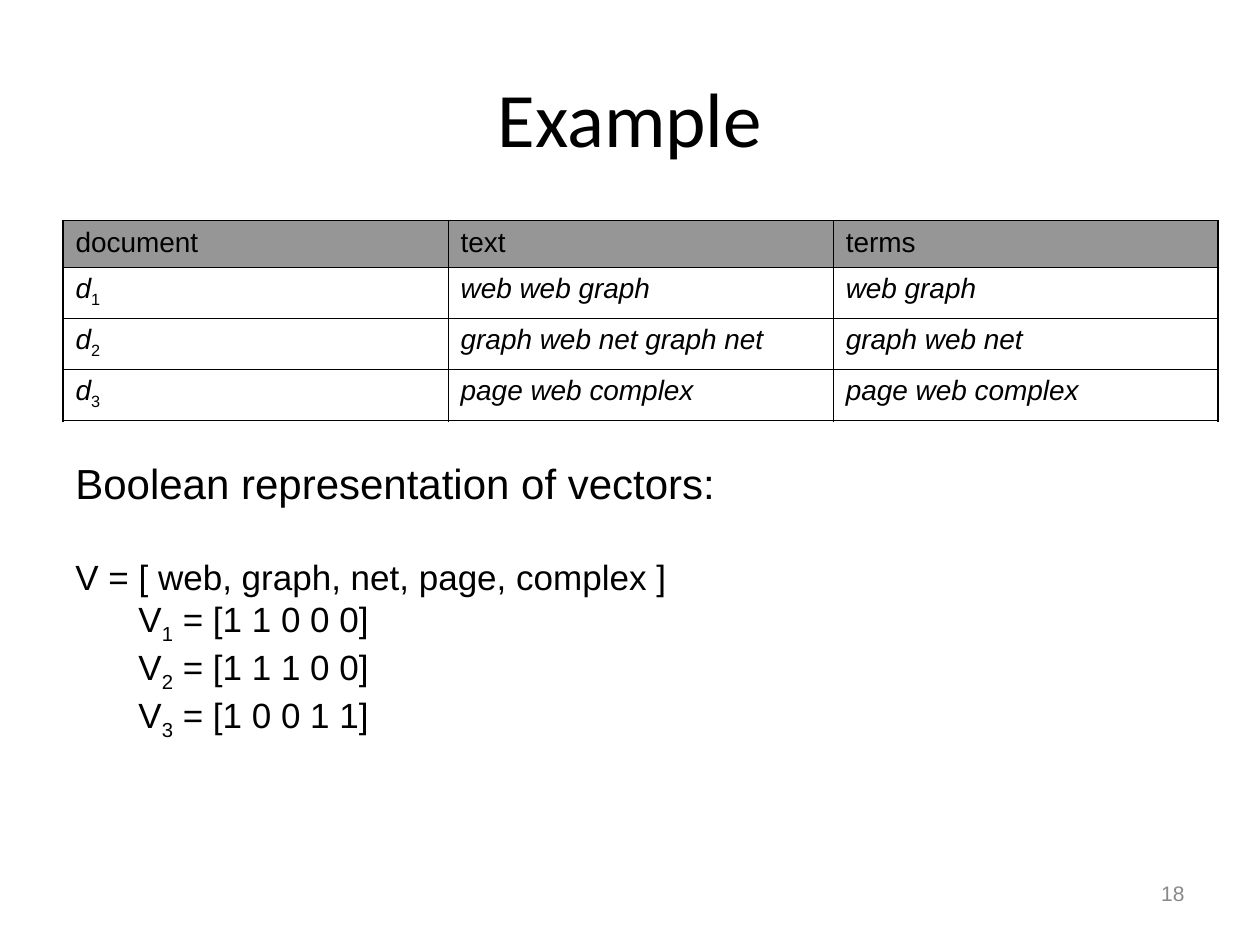
from dataclasses import dataclass

from lxml import etree
from pptx import Presentation
from pptx.dml.color import RGBColor
from pptx.enum.text import MSO_ANCHOR, MSO_AUTO_SIZE, PP_ALIGN
from pptx.oxml.ns import qn
from pptx.util import Inches, Pt

BLACK = RGBColor(0x00, 0x00, 0x00)
HEADER_GRAY = RGBColor(0x96, 0x96, 0x96)
NUMBER_GRAY = RGBColor(0x89, 0x89, 0x89)
MIDDLE = MSO_ANCHOR.MIDDLE
FIT_SHAPE = MSO_AUTO_SIZE.SHAPE_TO_FIT_TEXT
CENTER, RIGHT = PP_ALIGN.CENTER, PP_ALIGN.RIGHT

PAGE_WIDTH, PAGE_HEIGHT = 10, 7.5
MARGIN = 0.05 * PAGE_WIDTH
OUTER_LINE, INNER_LINE = Pt(1.08), Pt(0.45)


@dataclass(frozen=True)
class Document:
    number: str
    text: str
    terms: str
    vector: str


HEADINGS = ("document", "text", "terms")
DOCUMENTS = (
    Document("1", "web web graph", "web graph", "[1 1 0 0 0]"),
    Document("2", "graph web net graph net", "graph web net", "[1 1 1 0 0]"),
    Document("3", "page web complex", "page web complex", "[1 0 0 1 1]"),
)


def write(para, text: str, *, size: float, font: str = "Arial",
          color: RGBColor = BLACK, italic: bool = False,
          subscript: bool = False) -> None:
    """Append one formatted span to a paragraph."""
    span = para.add_run()
    span.text = text
    span.font.name = font
    span.font.size = Pt(size)
    span.font.color.rgb = color
    span.font.italic = italic
    if subscript:
        span._r.get_or_add_rPr().set("baseline", "-25000")


def draw_borders(cell, row: int, column: int, rows: int, columns: int) -> None:
    """Thick lines around the table, thin lines inside."""
    outer_sides = {"lnL": column == 0, "lnR": column == columns - 1,
                   "lnT": row == 0, "lnB": row == rows - 1}
    properties = cell._tc.get_or_add_tcPr()
    for side, is_outer in outer_sides.items():
        line = etree.SubElement(properties, qn(f"a:{side}"))
        line.set("w", str(int(OUTER_LINE if is_outer else INNER_LINE)))
        fill = etree.SubElement(line, qn("a:solidFill"))
        etree.SubElement(fill, qn("a:srgbClr")).set("val", str(BLACK))


def add_document_table(page, left: float, top: float, width: float,
                       height: float, header_height: float) -> None:
    rows, columns = len(DOCUMENTS) + 1, len(HEADINGS)
    row_height = (height - header_height) / len(DOCUMENTS)
    table = page.shapes.add_table(rows, columns, Inches(left), Inches(top),
                                  Inches(width), Inches(height)).table
    table.first_row = table.horz_banding = False
    for row in range(rows):
        table.rows[row].height = Inches(row_height if row else header_height)
        for column in range(columns):
            cell = table.cell(row, column)
            draw_borders(cell, row, column, rows, columns)
            para = cell.text_frame.paragraphs[0]
            para.space_before = Pt(2)
            if row == 0:
                cell.fill.solid()
                cell.fill.fore_color.rgb = HEADER_GRAY
                write(para, HEADINGS[column], size=16)
                continue
            cell.fill.background()
            document = DOCUMENTS[row - 1]
            value = ("d", document.text, document.terms)[column]
            write(para, value, size=16, italic=True)
            if column == 0:
                write(para, document.number, size=16, subscript=True)


def add_vectors(page, left: float, top: float,
                width: float, height: float) -> None:
    box = page.shapes.add_textbox(Inches(left), Inches(top),
                                  Inches(width), Inches(height))
    frame = box.text_frame
    frame.word_wrap = False
    frame.auto_size = FIT_SHAPE
    write(frame.paragraphs[0], "Boolean representation of vectors:", size=24)
    para = frame.add_paragraph()
    para.space_before = Pt(27.6)
    write(para, "V = [ web, graph, net, page, complex ]", size=20)
    for document in DOCUMENTS:
        para = frame.add_paragraph()
        para.level = 1
        write(para, "V", size=20)
        write(para, document.number, size=20, subscript=True)
        write(para, f" = {document.vector}", size=20)


def add_page_number(page, number: str) -> None:
    width, height = 2.33, 0.52
    box = page.shapes.add_textbox(
        Inches(PAGE_WIDTH - MARGIN - width), Inches(0.91 * PAGE_HEIGHT),
        Inches(width), Inches(height))
    frame = box.text_frame
    frame.word_wrap = True
    frame.vertical_anchor = MIDDLE
    frame.paragraphs[0].alignment = RIGHT
    write(frame.paragraphs[0], number, size=12, color=NUMBER_GRAY)


def main() -> None:
    deck = Presentation()
    deck.slide_width, deck.slide_height = Inches(PAGE_WIDTH), Inches(PAGE_HEIGHT)
    page = deck.slides.add_slide(deck.slide_layouts[5])

    # Title
    title = page.shapes.title
    title.left, title.top = Inches(MARGIN), Inches(0.04 * PAGE_HEIGHT)
    title.width, title.height = Inches(PAGE_WIDTH - 2 * MARGIN), Inches(1.25)
    title.text_frame.vertical_anchor = MIDDLE
    heading = title.text_frame.paragraphs[0]
    heading.alignment = CENTER
    write(heading, "Example", size=44, font="Calibri")

    # Documents, their vectors and the page number
    add_document_table(page, MARGIN, 1.75, 9.17, 1.59, header_height=0.37)
    add_page_number(page, "18")
    add_vectors(page, MARGIN, 3.58, 5.3, 2.37)

    deck.save("out.pptx")


if __name__ == "__main__":
    main()
